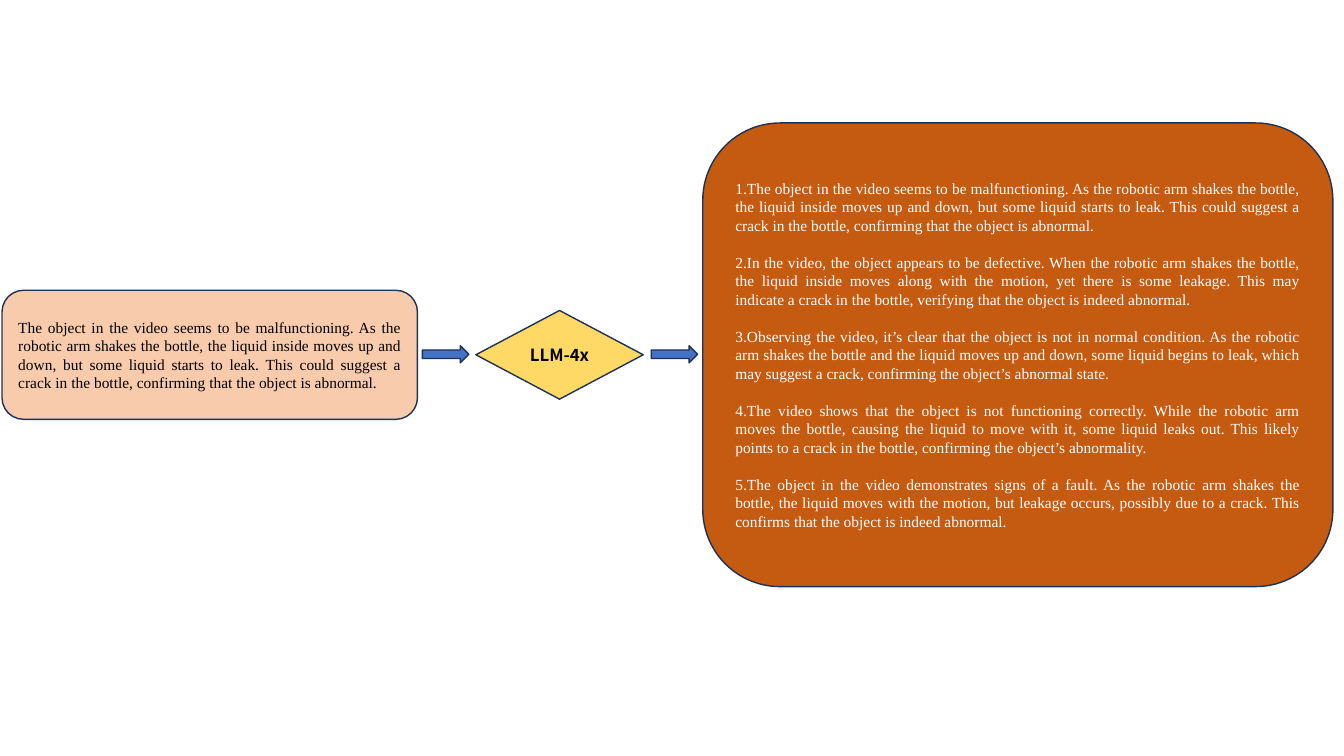
from pptx import Presentation
from pptx.dml.color import RGBColor
from pptx.enum.shapes import MSO_SHAPE
from pptx.enum.text import MSO_ANCHOR, PP_ALIGN
from pptx.util import Pt

PX = 9144  # EMU per px, 100 px to the inch

PEACH = RGBColor(0xF8, 0xCB, 0xAD)
RUST = RGBColor(0xC5, 0x5A, 0x11)
BLUE = RGBColor(0x44, 0x72, 0xC4)
YELLOW = RGBColor(0xFF, 0xD9, 0x66)
OUTLINE = RGBColor(0x1E, 0x32, 0x56)
BLACK = RGBColor(0x00, 0x00, 0x00)
WHITE = RGBColor(0xFF, 0xFF, 0xFF)

SERIF = "Times New Roman"
SANS = "Noto Sans CJK SC"
PARAGRAPH_GAP = 13.2  # pt, one line of text

DESCRIPTION = (
    "The object in the video seems to be malfunctioning. As the robotic arm shakes "
    "the bottle, the liquid inside moves up and down, but some liquid starts to leak. "
    "This could suggest a crack in the bottle, confirming that the object is abnormal."
)
VARIANTS = [
    DESCRIPTION,
    "In the video, the object appears to be defective. When the robotic arm shakes "
    "the bottle, the liquid inside moves along with the motion, yet there is some "
    "leakage. This may indicate a crack in the bottle, verifying that the object is "
    "indeed abnormal.",
    "Observing the video, it’s clear that the object is not in normal condition. As "
    "the robotic arm shakes the bottle and the liquid moves up and down, some liquid "
    "begins to leak, which may suggest a crack, confirming the object’s abnormal state.",
    "The video shows that the object is not functioning correctly. While the robotic "
    "arm moves the bottle, causing the liquid to move with it, some liquid leaks out. "
    "This likely points to a crack in the bottle, confirming the object’s abnormality.",
    "The object in the video demonstrates signs of a fault. As the robotic arm shakes "
    "the bottle, the liquid moves with the motion, but leakage occurs, possibly due to "
    "a crack. This confirms that the object is indeed abnormal.",
]


def add_block(s, kind, box, fill):
    """Place an outlined shape in box, given as left, top, width, height in px."""
    sp = s.shapes.add_shape(kind, *(n * PX for n in box))
    sp.shadow.inherit = False
    sp.fill.solid()
    sp.fill.fore_color.rgb = fill
    sp.line.color.rgb = OUTLINE
    sp.line.width = Pt(1)
    return sp


def set_text(sp, paragraphs, font, size, color, align, bold=False):
    tf = sp.text_frame
    tf.word_wrap = True
    tf.vertical_anchor = MSO_ANCHOR.MIDDLE
    tf.text = "\n".join(paragraphs)
    for i, p in enumerate(tf.paragraphs):
        p.alignment = align
        if i:
            p.space_before = Pt(PARAGRAPH_GAP)
        r = p.runs[0]
        r.font.name = font
        r.font.size = Pt(size)
        r.font.bold = bold
        r.font.color.rgb = color


def add_text_panel(s, box, fill, paragraphs, color):
    sp = add_block(s, MSO_SHAPE.ROUNDED_RECTANGLE, box, fill)
    set_text(sp, paragraphs, SERIF, 11, color, PP_ALIGN.JUSTIFY)


def add_model_stage(s, box):
    """Decision diamond centred in box, with an arrow at either end."""
    left, top, width, height = box
    arrow_w, arrow_h = 46, 17
    diamond_w = 166
    arrow_top = top + (height - arrow_h) // 2
    for x in (left, left + width - arrow_w):
        add_block(s, MSO_SHAPE.RIGHT_ARROW, (x, arrow_top, arrow_w, arrow_h), BLUE)
    diamond = (left + (width - diamond_w) // 2, top, diamond_w, height)
    sp = add_block(s, MSO_SHAPE.FLOWCHART_DECISION, diamond, YELLOW)
    set_text(sp, ["LLM-4x"], SANS, 12, BLACK, PP_ALIGN.CENTER, bold=True)


def main():
    prs = Presentation()
    prs.slide_width = 1333 * PX
    prs.slide_height = 750 * PX
    s = prs.slides.add_slide(prs.slide_layouts[6])

    # Input description
    add_text_panel(s, (2, 288, 412, 128), PEACH, [DESCRIPTION], BLACK)
    # Rewritten descriptions
    numbered = [f"{n}.{text}" for n, text in enumerate(VARIANTS, 1)]
    add_text_panel(s, (697, 122, 625, 460), RUST, numbered, WHITE)
    # Language model between the two panels
    add_model_stage(s, (419, 308, 273, 88))

    prs.save("out.pptx")


if __name__ == "__main__":
    main()
